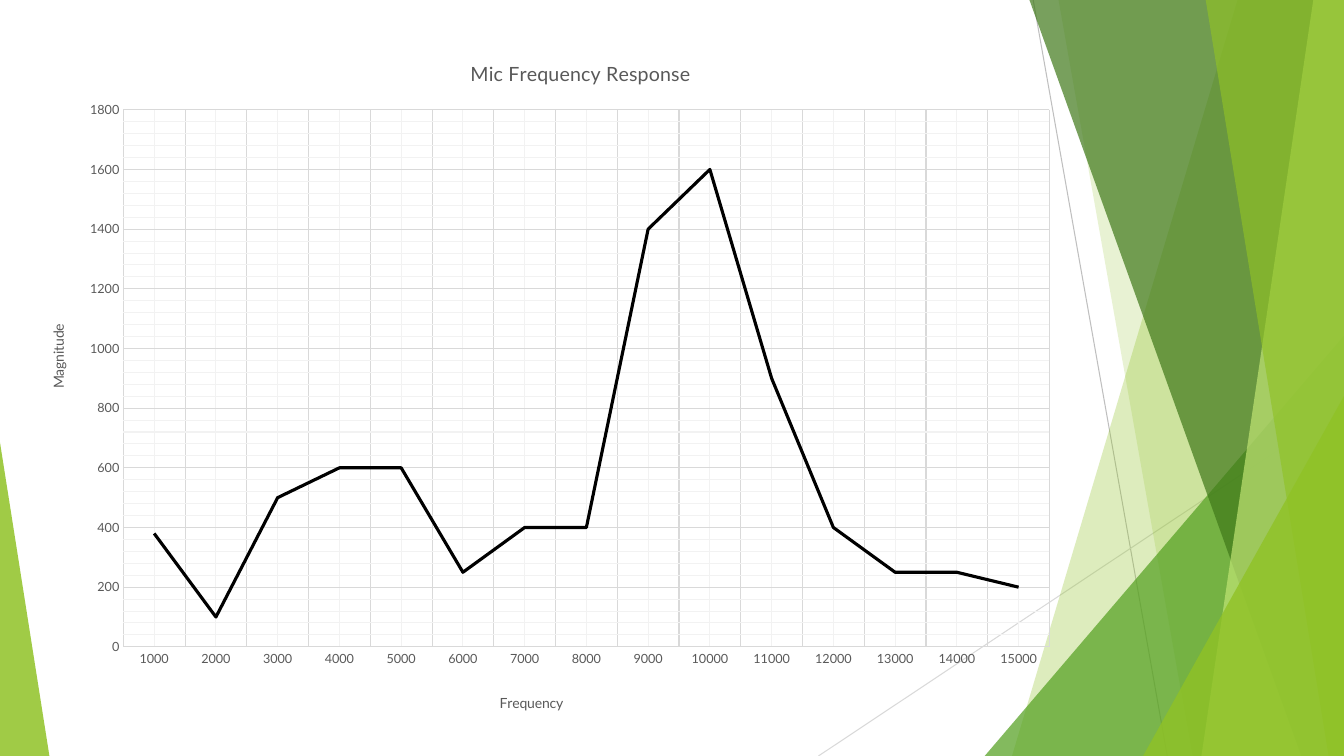
"""Build the microphone frequency response slide with its faceted green border."""
from lxml import etree
from pptx import Presentation
from pptx.chart.data import CategoryChartData
from pptx.dml.color import RGBColor
from pptx.enum.chart import XL_CHART_TYPE, XL_TICK_MARK
from pptx.enum.dml import MSO_LINE
from pptx.enum.shapes import MSO_CONNECTOR, MSO_SHAPE
from pptx.oxml.ns import qn
from pptx.util import Pt

LINE_CHART = XL_CHART_TYPE.LINE
NO_TICK = XL_TICK_MARK.NONE
SOLID = MSO_LINE.SOLID
STRAIGHT = MSO_CONNECTOR.STRAIGHT
TRIANGLE = MSO_SHAPE.ISOSCELES_TRIANGLE

LIME = RGBColor(0x90, 0xC2, 0x26)
PALE_LIME = RGBColor(0xC0, 0xE4, 0x74)
GREEN = RGBColor(0x54, 0xA0, 0x21)
DARK_GREEN = RGBColor(0x3F, 0x78, 0x19)
BLACK = RGBColor(0, 0, 0)
TEXT_GREY = RGBColor(0x59, 0x59, 0x59)
MID_GREY = RGBColor(0xBF, 0xBF, 0xBF)
LIGHT_GREY = RGBColor(0xD9, 0xD9, 0xD9)
FAINT_GREY = RGBColor(0xF2, 0xF2, 0xF2)

WIDTH, HEIGHT, TOP = 960, 540, -0.7
FONT = "Lato"
MAGNITUDES = [380, 100, 500, 600, 600, 250, 400, 400, 1400, 1600, 900, 400, 250, 250, 200]
FREQUENCIES = [str(1000 * step) for step in range(1, len(MAGNITUDES) + 1)]
CHART_BOX = (18.7, 23.8, 745.9, 492.5)
PLOT_LAYOUT = {"x": 0.093, "y": 0.111, "w": 0.887, "h": 0.779}
CHART_TITLE = ("Mic Frequency Response", 14, {"x": 0.422, "y": 0.032})
FREQUENCY_TITLE = ("Frequency", 10, {"x": 0.451, "y": 0.953})
MAGNITUDE_TITLE = ("Magnitude", 10, {"x": 0.019, "y": 0.418})

RULES = [((738, 0), (833.8, HEIGHT), MID_GREY), ((WIDTH, 290.2), (584.6, HEIGHT), LIGHT_GREY)]
FACETS = [
    ("band", 884.2, 722.9, LIME, 30),
    ("band", 756, 851.8, LIME, 20),
    ("corner", 703.4, 239.8, GREEN, 72),
    ("band", 735.1, 929.5, DARK_GREEN, 70),
    ("band", 938.2, 858.2, PALE_LIME, 70),
    ("band", 861.1, 949, LIME, 65),
    ("corner", 816.5, 283, LIME, 80),
]
LEFT_CORNER = (0, 316.1, 35.3, LIME, 85)


def set_values(target, values):
    for name, value in values.items():
        setattr(target, name, value)


def style_line(line, color, width=0.75):
    line.dash_style = SOLID
    line.color.rgb = color
    line.width = Pt(width)


def style_facet(shape, color, opacity):
    shape.shadow.inherit = False
    shape.line.fill.background()
    shape.fill.solid()
    shape.fill.fore_color.rgb = color
    tint = shape.fill._xPr.find(".//" + qn("a:srgbClr"))
    etree.SubElement(tint, qn("a:alpha"), val=str(opacity * 1000))


def add_rule(page, start, end, color):
    rule = page.shapes.add_connector(STRAIGHT, *map(Pt, start + end))
    style_line(rule.line, color)
    etree.SubElement(rule._element.spPr, qn("a:effectLst"))


def add_band(page, top_x, bottom_x, color, opacity):
    corners = [(WIDTH, TOP), (WIDTH, HEIGHT), (bottom_x, HEIGHT)]
    outline = page.shapes.build_freeform(Pt(top_x), Pt(TOP))
    outline.add_line_segments([(Pt(x), Pt(y)) for x, y in corners], close=True)
    style_facet(outline.convert_to_shape(), color, opacity)


def add_corner(page, left, top, width, peak, color, opacity):
    corner = page.shapes.add_shape(TRIANGLE, *map(Pt, (left, top, width, HEIGHT - top)))
    corner.adjustments[0] = peak
    style_facet(corner, color, opacity)


def place(element, position, layout):
    holder = element.find(qn("c:layout"))
    if holder is None:
        holder = etree.Element(qn("c:layout"))
        element.insert(position, holder)
    manual = etree.SubElement(holder, qn("c:manualLayout"))
    if "w" in layout:
        etree.SubElement(manual, qn("c:layoutTarget"), val="inner")
    for side in "xy":
        etree.SubElement(manual, qn(f"c:{side}Mode"), val="edge")
    for side, share in layout.items():
        etree.SubElement(manual, qn(f"c:{side}"), val=str(share))


def write_title(title, text, size, layout):
    title.text_frame.text = text
    span = title.text_frame.paragraphs[0].runs[0]
    set_values(span.font, {"name": FONT, "size": Pt(size), "bold": False})
    span.font.color.rgb = TEXT_GREY
    place(title._element, 1, layout)


def style_axis(axis, title):
    set_values(axis, {"has_major_gridlines": True, "has_minor_gridlines": True,
                      "major_tick_mark": NO_TICK, "minor_tick_mark": NO_TICK})
    set_values(axis.tick_labels.font, {"name": FONT, "size": Pt(9)})
    axis.tick_labels.font.color.rgb = TEXT_GREY
    style_line(axis.major_gridlines.format.line, LIGHT_GREY)
    style_line(axis.format.line, LIGHT_GREY)
    minor = axis._element.find(qn("c:minorGridlines"))
    shape_format = etree.SubElement(minor, qn("c:spPr"))
    stroke = etree.SubElement(shape_format, qn("a:ln"), w=str(Pt(0.75)))
    fill = etree.SubElement(stroke, qn("a:solidFill"))
    etree.SubElement(fill, qn("a:srgbClr"), val=str(FAINT_GREY))
    write_title(axis.axis_title, *title)


def add_response_chart(page):
    data = CategoryChartData()
    data.categories = FREQUENCIES
    data.add_series("Series 1", MAGNITUDES)
    chart = page.shapes.add_chart(LINE_CHART, *map(Pt, CHART_BOX), data).chart
    chart.has_legend = False
    set_values(chart.font, {"name": FONT, "size": Pt(10)})
    chart.font.color.rgb = BLACK
    write_title(chart.chart_title, *CHART_TITLE)
    style_axis(chart.category_axis, FREQUENCY_TITLE)
    style_axis(chart.value_axis, MAGNITUDE_TITLE)
    set_values(chart.value_axis, {"minimum_scale": 0, "maximum_scale": 1800,
                                  "major_unit": 200, "minor_unit": 40})
    chart.value_axis.format.line.fill.background()
    turned = chart.value_axis.axis_title.text_frame._txBody.find(qn("a:bodyPr"))
    set_values_xml = {"rot": "-5400000", "vert": "horz"}
    turned.attrib.update(set_values_xml)
    chart.plots[0].vary_by_categories = False
    response = chart.plots[0].series[0]
    response.smooth = False
    style_line(response.format.line, BLACK, 2.25)
    root = chart._chartSpace
    place(root.find(".//" + qn("c:plotArea")), 0, PLOT_LAYOUT)
    area = etree.Element(qn("c:spPr"))
    etree.SubElement(area, qn("a:noFill"))
    etree.SubElement(etree.SubElement(area, qn("a:ln")), qn("a:noFill"))
    root.find(qn("c:chart")).addnext(area)


def main():
    deck = Presentation()
    set_values(deck, {"slide_width": Pt(WIDTH), "slide_height": Pt(HEIGHT)})
    page = deck.slides.add_slide(deck.slide_layouts[6])
    for rule in RULES:
        add_rule(page, *rule)
    for kind, first, second, color, opacity in FACETS:
        if kind == "band":
            add_band(page, first, second, color, opacity)
        else:
            add_corner(page, first, second, WIDTH - first, 1, color, opacity)
    left, top, width, color, opacity = LEFT_CORNER
    add_corner(page, left, top, width, 0, color, opacity)
    add_response_chart(page)
    deck.save("out.pptx")


if __name__ == "__main__":
    main()
